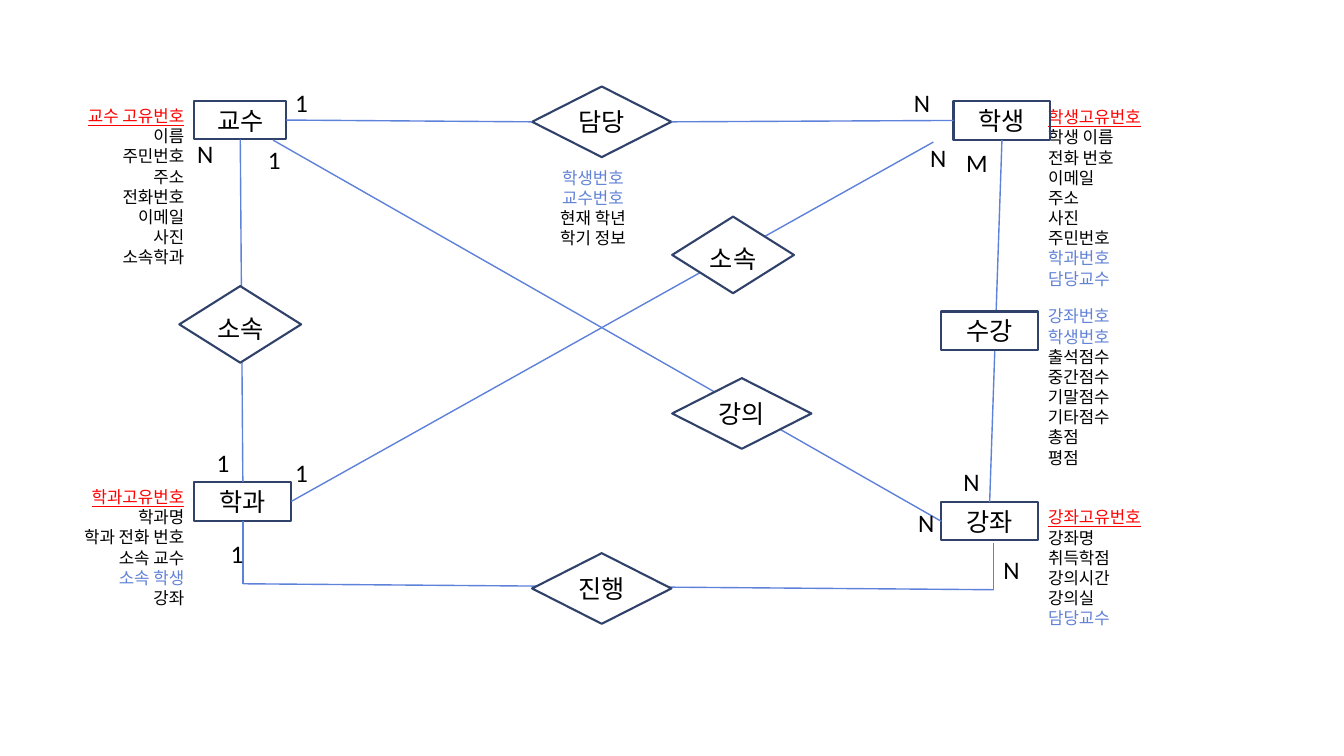
from dataclasses import dataclass
from typing import Optional, Union

from lxml.etree import SubElement
from pptx import Presentation
from pptx.dml.color import RGBColor
from pptx.enum.shapes import MSO_CONNECTOR, MSO_SHAPE
from pptx.enum.text import MSO_ANCHOR, MSO_AUTO_SIZE, PP_ALIGN
from pptx.oxml.ns import qn
from pptx.util import Cm, Pt

RECT, DIAMOND = MSO_SHAPE.RECTANGLE, MSO_SHAPE.FLOWCHART_DECISION
STRAIGHT = MSO_CONNECTOR.STRAIGHT
LEFT, MID, RIGHT = PP_ALIGN.LEFT, PP_ALIGN.CENTER, PP_ALIGN.RIGHT
TOP, CENTRE = MSO_ANCHOR.TOP, MSO_ANCHOR.MIDDLE
FIXED = MSO_AUTO_SIZE.NONE
N_SIDE, W_SIDE, S_SIDE, E_SIDE = range(4)
COMPARE = 4  # layout with four body placeholders


@dataclass(frozen=True)
class Theme:
    font: str = "Calibri"
    text: RGBColor = RGBColor(0, 0, 0)
    key: RGBColor = RGBColor(0xFF, 0, 0)
    ref: RGBColor = RGBColor(0x61, 0x82, 0xD6)
    edge: RGBColor = RGBColor(0x30, 0x41, 0x6A)
    link: RGBColor = RGBColor(0x5E, 0x81, 0xD9)
    fill: RGBColor = RGBColor(0xFF, 0xFF, 0xFF)
    large: Pt = Pt(18)
    small: Pt = Pt(12)
    thick: Pt = Pt(1.5)
    thin: Pt = Pt(1)


THEME = Theme()


@dataclass(frozen=True)
class Node:
    name: str
    label: str
    kind: int
    x: float
    y: float
    w: float
    h: float
    solid: bool = False
    drop: float = 0  # how far the label sits below the middle


@dataclass(frozen=True)
class Joint:
    node: str
    side: int


@dataclass(frozen=True)
class Point:
    x: float
    y: float


End = Union[Joint, Point]


@dataclass(frozen=True)
class Link:
    start: End
    stop: End


@dataclass(frozen=True)
class Fields:
    x: float
    y: float
    w: float
    h: float
    align: int
    names: tuple[str, ...]


@dataclass(frozen=True)
class Count:
    label: str
    x: float
    y: float


BASE = (
    Node("course", "강좌", RECT, 23.72, 12.65, 2.44, 0.97),
    Node("student", "학생", RECT, 24.03, 2.54, 2.44, 0.99),
    Node("prof", "교수", RECT, 4.9, 2.54, 2.31, 0.97),
    Node("dept", "학과", RECT, 4.9, 12.14, 2.44, 0.99),
    Node("advise", "담당", DIAMOND, 13.41, 2.18, 3.51, 1.78),
)
COVER = (
    Node("major", "소속", DIAMOND, 16.94, 5.46, 3.07, 1.93, True, 0.1),
    Node("run", "진행", DIAMOND, 13.41, 13.94, 3.51, 1.78, True),
    Node("staff", "소속", DIAMOND, 4.52, 7.21, 3.07, 1.93, True, 0.1),
    Node("enrol", "수강", RECT, 23.72, 7.85, 2.44, 0.97, True),
    Node("teach", "강의", DIAMOND, 16.94, 9.53, 3.51, 1.78, True),
)
LOW_LEFT, LOW_RIGHT = Point(6.12, 14.71), Point(25.04, 14.86)
LINKS = (
    Link(Joint("prof", E_SIDE), Joint("advise", W_SIDE)),
    Link(Joint("advise", E_SIDE), Joint("student", W_SIDE)),
    Link(Point(6.88, 3.53), Joint("course", W_SIDE)),
    Link(Joint("prof", S_SIDE), Joint("dept", N_SIDE)),
    Link(Joint("dept", E_SIDE), Point(23.52, 3.58)),
    Link(Joint("dept", S_SIDE), LOW_LEFT),
    Link(Point(25.04, 13.69), LOW_RIGHT),
    Link(LOW_LEFT, LOW_RIGHT),
    Link(Joint("student", S_SIDE), Joint("course", N_SIDE)),
)
REFS = {"소속 학생", "학과번호", "담당교수", "학생번호", "교수번호", "강좌번호"}
ENTITY_FIELDS = (
    Fields(0, 12.14, 4.9, 3.3, RIGHT,
           ("학과고유번호", "학과명", "학과 전화 번호", "소속 교수", "소속 학생", "강좌")),
    Fields(26.16, 2.57, 4.9, 4.83, LEFT,
           ("학생고유번호", "학생 이름", "전화 번호", "이메일", "주소", "사진",
            "주민번호", "학과번호", "담당교수")),
    Fields(0.89, 2.54, 4.01, 4.32, RIGHT,
           ("교수 고유번호", "이름", "주민번호", "주소", "전화번호", "이메일",
            "사진", "소속학과")),
    Fields(26.16, 12.65, 4.9, 3.28, LEFT,
           ("강좌고유번호", "강좌명", "취득학점", "강의시간", "강의실", "담당교수")),
)
LINK_FIELDS = (
    Fields(13.41, 4.09, 3.07, 2.29, MID,
           ("학생번호", "교수번호", "현재 학년", "학기 정보")),
    Fields(26.16, 7.59, 3.96, 4.32, LEFT,
           ("강좌번호", "학생번호", "출석점수", "중간점수", "기말점수", "기타점수",
            "총점", "평점")),
)
COUNTS = (
    Count("1", 7.19, 2.08), Count("N", 22.78, 2.08), Count("N", 24.03, 11.63),
    Count("1", 6.5, 3.51), Count("N", 22.89, 12.67), Count("1", 5.21, 11.15),
    Count("1", 7.19, 11.4), Count("N", 23.19, 3.45), Count("N", 4.72, 3.35),
    Count("1", 5.56, 13.44), Count("N", 25.04, 13.84), Count("M", 24.1, 3.58),
)


def add_run(para, text: str, size: Pt, color: RGBColor, under: bool = False) -> None:
    run = para.add_run()
    run.text = text
    font = run.font
    font.name, font.size, font.bold, font.underline = THEME.font, size, False, under
    font.color.rgb = color


def draw_node(slide, node: Node):
    shape = slide.shapes.add_shape(node.kind, Cm(node.x), Cm(node.y), Cm(node.w), Cm(node.h))
    shape.shadow.inherit = False
    shape.line.color.rgb, shape.line.width = THEME.edge, THEME.thick
    if node.solid:
        shape.fill.solid()
        shape.fill.fore_color.rgb = THEME.fill
    else:
        shape.fill.background()
    frame = shape.text_frame
    frame.word_wrap, frame.vertical_anchor = False, CENTRE
    frame.margin_left = frame.margin_right = frame.margin_bottom = 0
    frame.margin_top = Cm(2 * node.drop)
    para = frame.paragraphs[0]
    para.alignment = MID
    add_run(para, node.label, THEME.large, THEME.text)
    return shape


def draw_link(slide, link: Link, shapes: dict) -> None:
    line = slide.shapes.add_connector(STRAIGHT, 0, 0, 0, 0)
    # Free ends go first, as joining an end keeps the other in place.
    if isinstance(link.start, Point):
        line.begin_x, line.begin_y = Cm(link.start.x), Cm(link.start.y)
    if isinstance(link.stop, Point):
        line.end_x, line.end_y = Cm(link.stop.x), Cm(link.stop.y)
    if isinstance(link.start, Joint):
        line.begin_connect(shapes[link.start.node], link.start.side)
    if isinstance(link.stop, Joint):
        line.end_connect(shapes[link.stop.node], link.stop.side)
    line.line.color.rgb, line.line.width = THEME.link, THEME.thin
    SubElement(line._element.spPr, qn("a:effectLst"))


def draw_fields(slide, fields: Fields, holder: Optional[object] = None) -> None:
    """Write a list of fields into a placeholder, or else a text box."""
    box = holder or slide.shapes.add_textbox(0, 0, 0, 0)
    box.left, box.top = Cm(fields.x), Cm(fields.y)
    box.width, box.height = Cm(fields.w), Cm(fields.h)
    frame = box.text_frame
    frame.word_wrap, frame.auto_size, frame.vertical_anchor = True, FIXED, TOP
    for i, name in enumerate(fields.names):
        para = frame.add_paragraph() if i else frame.paragraphs[0]
        para.alignment, para.space_before = fields.align, Pt(0)
        props = para._p.get_or_add_pPr()
        props.set("marL", "0")
        props.set("indent", "0")
        SubElement(props, qn("a:buNone"))
        key = name.endswith("고유번호")
        color = THEME.key if key else THEME.ref if name in REFS else THEME.text
        add_run(para, name, THEME.small, color, key)


def draw_count(slide, count: Count) -> None:
    box = slide.shapes.add_textbox(Cm(count.x), Cm(count.y), Cm(0.84), Cm(1.02))
    box.text_frame.word_wrap = True
    add_run(box.text_frame.paragraphs[0], count.label, THEME.large, THEME.text)


def main() -> None:
    deck = Presentation()
    deck.slide_width, deck.slide_height = Cm(33.87), Cm(19.05)
    slide = deck.slides.add_slide(deck.slide_layouts[COMPARE])
    title, *bodies = slide.placeholders
    title._element.getparent().remove(title._element)
    for fields, body in zip(ENTITY_FIELDS, bodies):
        draw_fields(slide, fields, body)
    for fields in LINK_FIELDS:
        draw_fields(slide, fields)
    shapes = {node.name: draw_node(slide, node) for node in BASE}
    for link in LINKS:
        draw_link(slide, link, shapes)
    for node in COVER:
        draw_node(slide, node)
    for count in COUNTS:
        draw_count(slide, count)
    deck.save("out.pptx")


if __name__ == "__main__":
    main()
